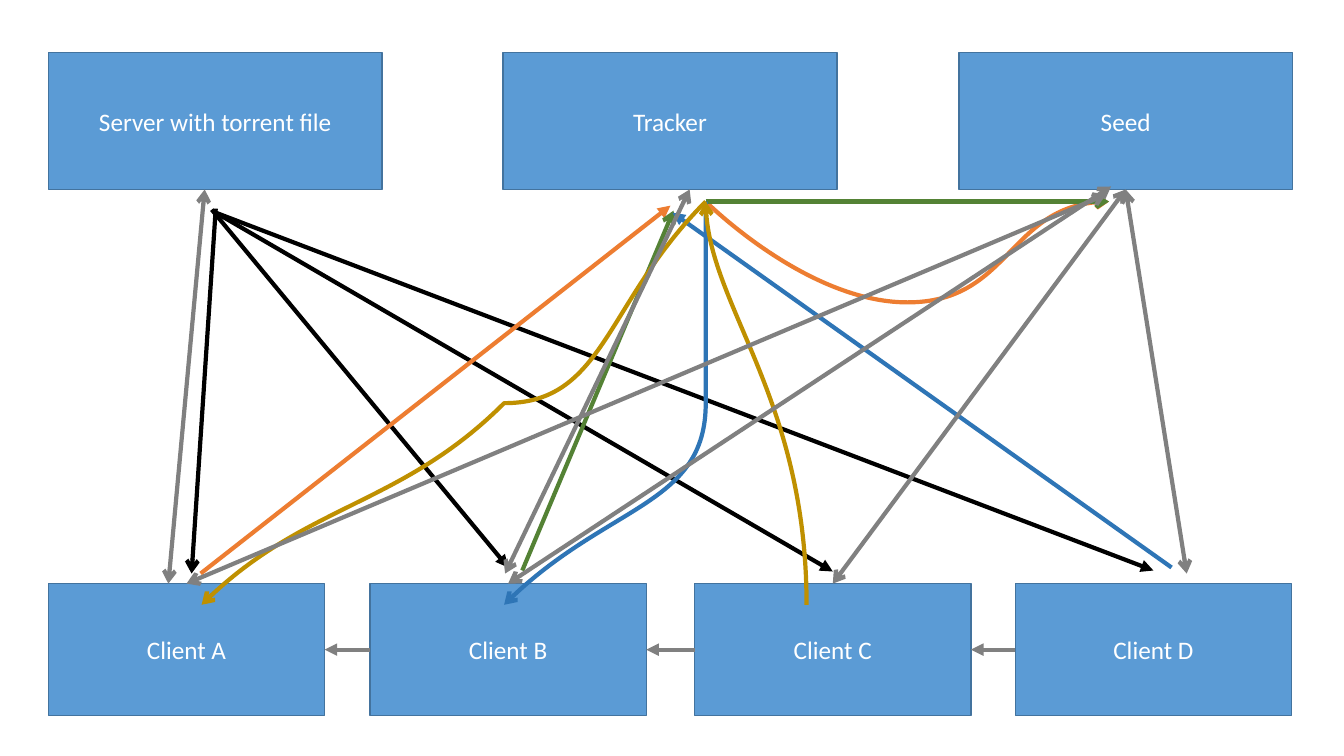
import lxml.etree
import pptx
import pptx.dml.color
import pptx.enum.shapes
import pptx.enum.text
import pptx.oxml.ns
import pptx.util
from pptx.util import Inches

BLACK, ORANGE, GREEN = "000000", "ED7D31", "548235"
BLUE, GOLD, GRAY = "2E75B6", "BF9000", "808080"
TOP, LEFT, BOTTOM, RIGHT = range(4)


def color(hex_value):
    return pptx.dml.color.RGBColor.from_string(hex_value)


def add_child(parent, tag, **attributes):
    return lxml.etree.SubElement(parent, pptx.oxml.ns.qn(tag), attributes)


def add_box(page, label, left, top, width, height):
    box = page.shapes.add_shape(
        pptx.enum.shapes.MSO_SHAPE.RECTANGLE,
        Inches(left), Inches(top), Inches(width), Inches(height))
    box.shadow.inherit = False
    box.fill.solid()
    box.fill.fore_color.rgb = color("5B9BD5")
    box.line.color.rgb = color("43739E")
    box.line.width = pptx.util.Pt(1)
    box.text_frame.word_wrap = True
    box.text_frame.vertical_anchor = pptx.enum.text.MSO_ANCHOR.MIDDLE
    para = box.text_frame.paragraphs[0]
    para.text = label
    para.alignment = pptx.enum.text.PP_ALIGN.CENTER
    para.font.name = "Calibri"
    para.font.size = pptx.util.Pt(18)
    para.font.color.rgb = color("FFFFFF")
    return box


def style_line(line, hex_value, tail, head=None):
    line.color.rgb = color(hex_value)
    line.width = pptx.util.Pt(3)
    outline = line._get_or_add_ln()
    if head:
        add_child(outline, "a:headEnd", type=head)
    add_child(outline, "a:tailEnd", type=tail)


def add_arrow(page, start, end, hex_value, tail="triangle", head=None):
    arrow = page.shapes.add_connector(
        pptx.enum.shapes.MSO_CONNECTOR.STRAIGHT,
        *(Inches(value) for value in start + end))
    style_line(arrow.line, hex_value, tail, head)
    add_child(arrow._element.spPr, "a:effectLst")
    return arrow


def add_curve(page, points, hex_value):
    """Draw a Bezier arrow: a start, then two controls and an end per piece."""
    builder = page.shapes.build_freeform(*points[0], scale=Inches(1))
    builder.add_line_segments(points[1:], close=False)
    curve = builder.convert_to_shape()
    # Turn every three straight segments into one Bezier segment
    segments = curve._element.xpath(".//a:lnTo")
    outline = segments[0].getparent()
    for first in range(0, len(segments), 3):
        bezier = add_child(outline, "a:cubicBezTo")
        for segment in segments[first:first + 3]:
            bezier.append(segment[0])
            outline.remove(segment)
    curve.fill.background()
    curve.shadow.inherit = False
    style_line(curve.line, hex_value, "arrow")


def main():
    deck = pptx.Presentation()
    deck.slide_width, deck.slide_height = Inches(13.33), Inches(7.5)
    page = deck.slides.add_slide(deck.slide_layouts[6])

    # Hosts above, clients below
    _, _, seed = [
        add_box(page, label, left, 0.52, 3.31, 1.36)
        for label, left in [("Server with torrent file", 0.48),
                            ("Tracker", 4.99), ("Seed", 9.51)]]
    clients = [
        add_box(page, "Client " + letter, left, 5.79, 2.74, 1.31)
        for letter, left in zip("ABCD", (0.48, 3.67, 6.89, 10.07))]
    client_a, client_b, client_c, _ = clients

    # Torrent file from the server to each client
    for start, end, tail in [((2.14, 2.07), (1.9, 5.69), "arrow"),
                             ((2.1, 2.08), (5.04, 5.63), "triangle"),
                             ((2.14, 2.11), (8.26, 5.67), "triangle"),
                             ((2.14, 2.11), (11.44, 5.66), "triangle")]:
        add_arrow(page, start, end, BLACK, tail)

    # Requests to the tracker, each passed on along a curve
    add_arrow(page, (1.99, 5.69), (6.65, 2.04), ORANGE)
    add_curve(page, [(6.68, 2.09), (7.42, 2.34), (8.16, 2.6), (8.91, 2.6),
                     (9.67, 2.61), (10.45, 2.35), (11.22, 2.1)], ORANGE)
    add_arrow(page, (5.18, 5.66), (6.68, 2.09), GREEN, "arrow")
    add_curve(page, [(6.7, 2.11), (7.45, 2.26), (8.19, 2.41), (8.93, 2.4),
                     (9.66, 2.38), (10.76, 2.11), (11.11, 2.04)], GREEN)
    add_arrow(page, (11.62, 5.63), (6.67, 2.11), BLUE)
    add_curve(page, [(6.7, 2.23), (6.88, 2.87), (7.06, 3.51), (6.84, 4.07),
                     (6.62, 4.64), (5.5, 5.43), (5.36, 5.64)], BLUE)
    add_curve(page, [(8.31, 5.63), (7.75, 4.25), (7.19, 2.87), (6.69, 2.11)],
              GOLD)
    add_curve(page, [(6.58, 2.14), (6.18, 2.88), (5.77, 3.63), (5.03, 4.23),
                     (4.29, 4.83), (2.59, 5.49), (2.13, 5.74)], GOLD)

    # Each client sends to its left neighbour
    for receiver, sender in zip(clients, clients[1:]):
        arrow = add_arrow(page, (0, 0), (1, 1), GRAY)
        arrow.begin_connect(sender, LEFT)
        arrow.end_connect(receiver, RIGHT)

    # Two-way exchanges, joined where they meet the middle of a side
    for start, end, source, target in [
            ((11.16, 1.88), (11.77, 5.69), seed, None),
            ((11.17, 1.88), (8.26, 5.79), seed, client_c),
            ((6.84, 1.88), (5.01, 5.69), None, None),
            ((2.03, 1.88), (1.67, 5.79), None, None),
            ((11.02, 1.85), (5.04, 5.79), None, client_b),
            ((10.97, 1.93), (1.85, 5.79), None, client_a)]:
        arrow = add_arrow(page, start, end, GRAY, "arrow", "arrow")
        if source:
            arrow.begin_connect(source, BOTTOM)
        if target:
            arrow.end_connect(target, TOP)

    deck.save("out.pptx")


if __name__ == "__main__":
    main()
